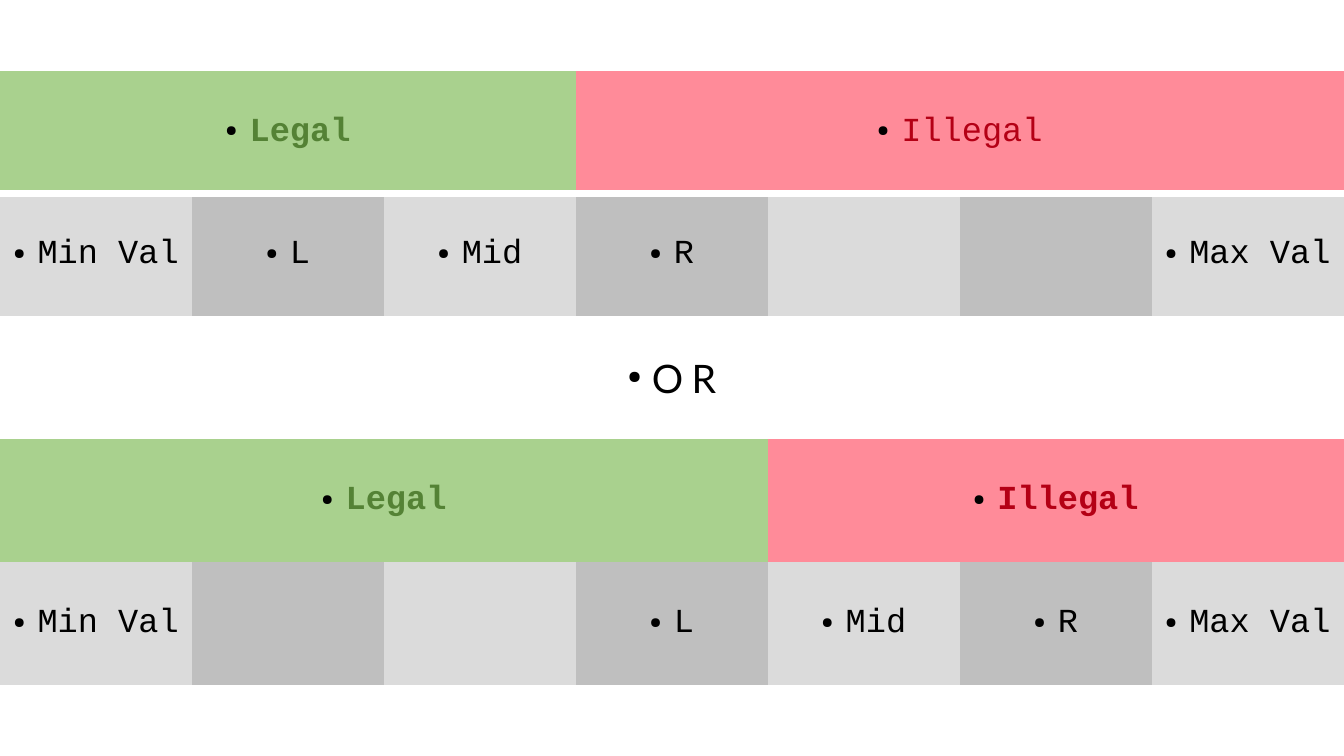
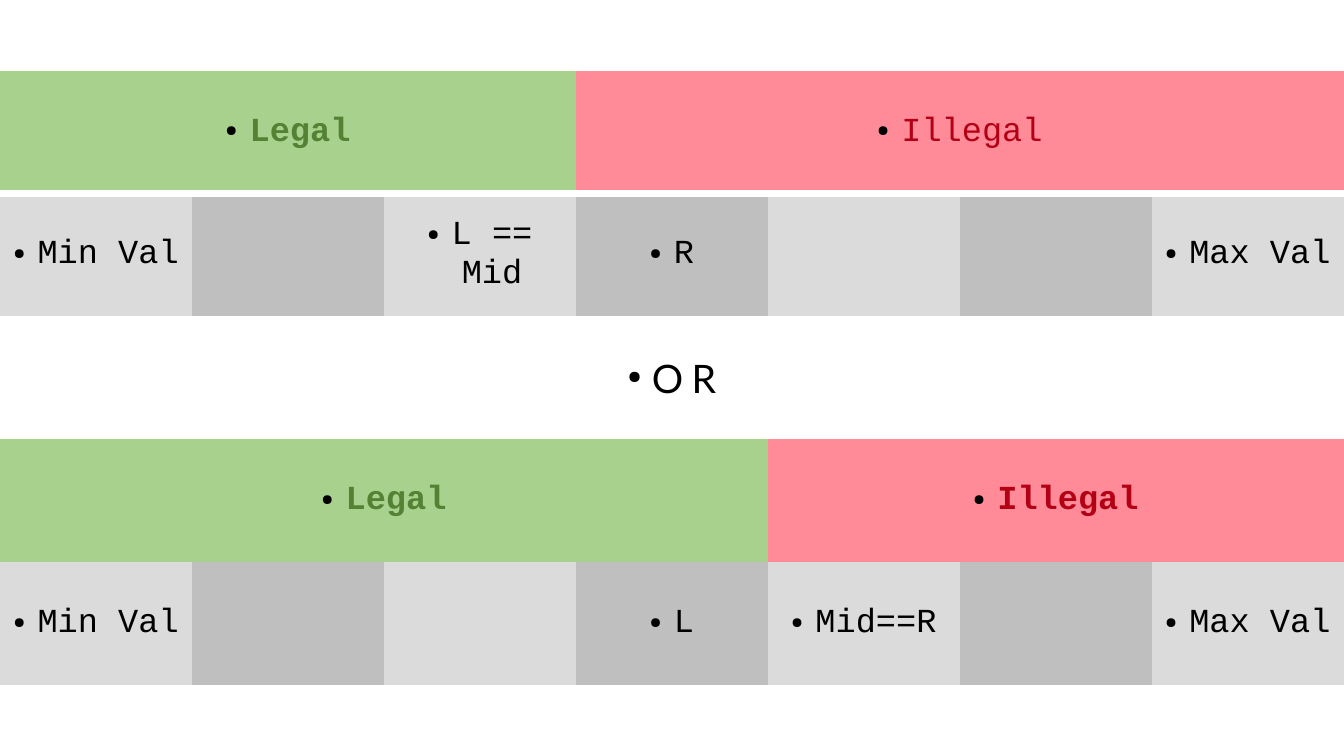
from dataclasses import dataclass

from lxml.etree import SubElement
from pptx import Presentation
from pptx.dml.color import RGBColor
from pptx.enum.text import MSO_ANCHOR, PP_ALIGN
from pptx.oxml import parse_xml
from pptx.oxml.ns import nsdecls, qn
from pptx.util import Inches, Pt


@dataclass(frozen=True)
class Theme:
    black: str = "000000"
    white: str = "FFFFFF"
    green: str = "A9D18E"
    moss: str = "548235"
    pink: str = "FF8B99"
    red: str = "B40015"
    grays: tuple = ("DBDBDB", "BFBFBF")
    mono: str = "Courier New"
    sans: str = "Lato"
    body: int = 24
    large: int = 28
    plain: str = "{2D5ABB26-0587-4C30-8999-92F81FD0307C}"


THEME = Theme()
WIDTH, TOP, ROW = 13.33, 0.7, 1.22
COLS, ROWS = 7, 5


def bullet(para):
    props = para._p.get_or_add_pPr()
    props.set("marL", str(Inches(0.24)))
    props.set("indent", str(Inches(-0.24)))
    color = SubElement(props, qn("a:buClr"))
    SubElement(color, qn("a:srgbClr"), val=THEME.black)
    SubElement(props, qn("a:buSzPct"), val="45000")
    SubElement(props, qn("a:buChar"), char="●")


def write(cell, text, color=THEME.black, font=THEME.mono, size=THEME.body,
          bold=False, space=0):
    """Put one centred bullet line in a cell; space is in points."""
    para = cell.text_frame.paragraphs[0]
    para.alignment = PP_ALIGN.CENTER
    bullet(para)
    run = para.add_run()
    run.text = text
    run.font.name = font
    run.font.size = Pt(size)
    run.font.bold = bold
    run.font.color.rgb = RGBColor.from_string(color)
    if space:
        run._r.get_or_add_rPr().set("spc", str(space * 100))


class Deck:
    def __init__(self, theme):
        self.theme = theme
        self.prs = Presentation()
        self.prs.slide_width = Inches(WIDTH)
        self.prs.slide_height = Inches(7.5)

    def slide(self):
        self.page = self.prs.slides.add_slide(self.prs.slide_layouts[6])

    def grid(self):
        frame = self.page.shapes.add_table(
            ROWS, COLS, Inches(0), Inches(TOP), Inches(WIDTH), Inches(ROW * ROWS))
        self.table = frame.table
        self.table.first_row = self.table.horz_banding = False
        self.table._tbl.tblPr.find(qn("a:tableStyleId")).text = self.theme.plain
        for col in self.table.columns:
            col.width = Inches(WIDTH / COLS)
        for row in self.table.rows:
            row.height = Inches(ROW)

    def cell(self, row, col, fill, text="", span=1, **style):
        cell = self.table.cell(row, col)
        if span > 1:
            cell.merge(self.table.cell(row, col + span - 1))
        cell.fill.solid()
        cell.fill.fore_color.rgb = RGBColor.from_string(fill)
        cell.vertical_anchor = MSO_ANCHOR.MIDDLE
        cell.margin_left = cell.margin_right = Inches(0.12)
        cell.margin_top = cell.margin_bottom = Inches(0.05)
        if text:
            write(cell, text, **style)

    def rule(self, row):
        """Draw a thick white line under a whole row."""
        for col in range(COLS):
            line = parse_xml(
                f'<a:lnB {nsdecls("a")} w="{Pt(6)}"><a:solidFill>'
                f'<a:srgbClr val="{self.theme.white}"/></a:solidFill></a:lnB>')
            self.table.cell(row, col)._tc.get_or_add_tcPr().insert(0, line)

    def band(self, row, legal, bold):
        look = self.theme
        self.cell(row, 0, look.green, "Legal", legal, color=look.moss, bold=True)
        self.cell(row, legal, look.pink, "Illegal", COLS - legal,
                  color=look.red, bold=bold)

    def values(self, row, marks):
        labels = {0: "Min Val", COLS - 1: "Max Val", **marks}
        for col in range(COLS):
            self.cell(row, col, self.theme.grays[col % 2], labels.get(col, ""))

    def search(self, upper, lower):
        """Show two cases; each maps a column to its pointer label."""
        look = self.theme
        self.slide()
        self.grid()
        self.band(0, 3, bold=False)
        self.rule(0)
        self.values(1, upper)
        self.cell(2, 0, look.white, "OR", COLS,
                  font=look.sans, size=look.large, space=6)
        self.band(3, 4, bold=True)
        self.values(4, lower)


def main():
    deck = Deck(THEME)
    deck.search({1: "L", 2: "Mid", 3: "R"}, {3: "L", 4: "Mid", 5: "R"})
    deck.search({2: "L == Mid", 3: "R"}, {3: "L", 4: "Mid==R"})
    deck.prs.save("out.pptx")


if __name__ == "__main__":
    main()
